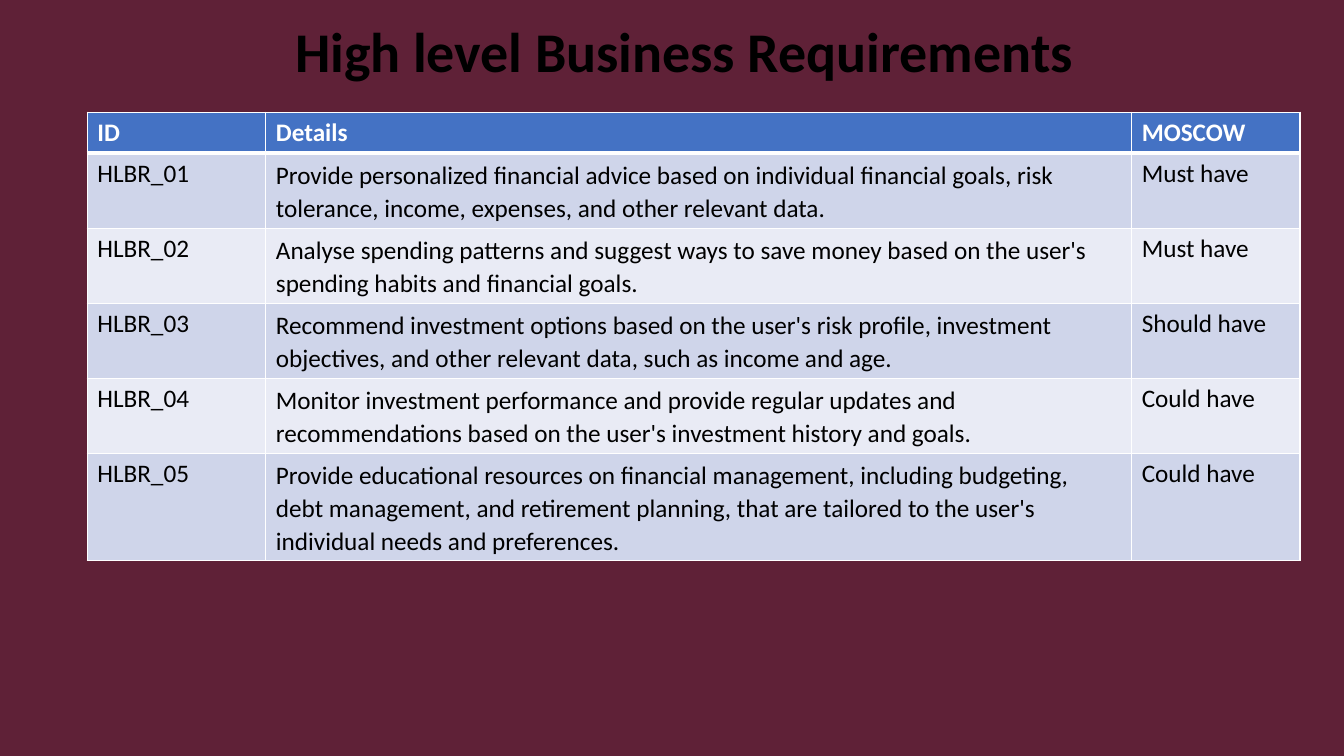
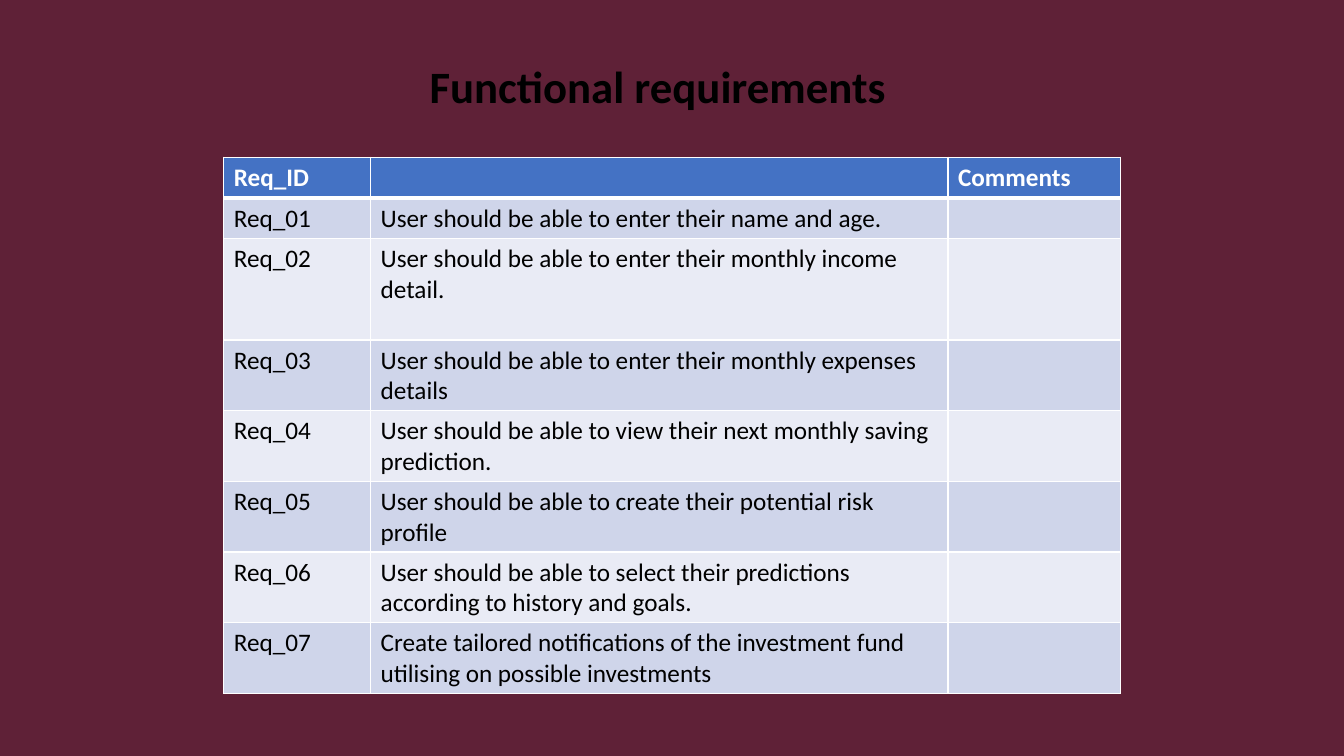
import pptx
import pptx.dml.color
import pptx.enum.text
import pptx.oxml.ns
import pptx.util
from lxml import etree

Cm = pptx.util.Cm
Pt = pptx.util.Pt

FONT = "Calibri"
BACKGROUND = "5F2137"
BLACK = "000000"
WHITE = "FFFFFF"
HEADER_FILL = "4472C4"
BAND_FILLS = ("CFD5EA", "E9EBF5")
HEADER_FORMAT = {"name": FONT, "size": Pt(18), "bold": True}
BODY_FORMAT = {"name": FONT, "size": Pt(18), "bold": False}
HEADER_HEIGHT = 1.03

BUSINESS_ROWS = [
    ("ID", "Details", "MOSCOW"),
    ("HLBR_01", "Provide personalized financial advice based on individual financial goals, "
     "risk tolerance, income, expenses, and other relevant data.", "Must have"),
    ("HLBR_02", "Analyse spending patterns and suggest ways to save money based on the user's "
     "spending habits and financial goals.", "Must have"),
    ("HLBR_03", "Recommend investment options based on the user's risk profile, investment "
     "objectives, and other relevant data, such as income and age.", "Should have"),
    ("HLBR_04", "Monitor investment performance and provide regular updates and "
     "recommendations based on the user's investment history and goals.", "Could have"),
    ("HLBR_05", "Provide educational resources on financial management, including budgeting, "
     "debt management, and retirement planning, that are tailored to the user's individual "
     "needs and preferences.", "Could have"),
]

FUNCTIONAL_DETAILS = [
    "User should be able to enter their name and age.",
    "User should be able to enter their monthly income detail.",
    "User should be able to enter their monthly expenses details",
    "User should be able to view their next monthly saving prediction.",
    "User should be able to create their potential risk profile",
    "User should be able to select their predictions according to history and goals.",
    "Create tailored notifications of the investment fund utilising on possible investments",
]
FUNCTIONAL_ROWS = [("Req_ID", "", "Comments")] + [
    (f"Req_{number:02}", detail, "")
    for number, detail in enumerate(FUNCTIONAL_DETAILS, start=1)
]


def color(hex_string):
    return pptx.dml.color.RGBColor.from_string(hex_string)


def format_font(font, values, text_color):
    for name, value in values.items():
        setattr(font, name, value)
    font.color.rgb = color(text_color)


def add_slide(presentation):
    slide = presentation.slides.add_slide(presentation.slide_layouts[6])
    fill = slide.background.fill
    fill.solid()
    fill.fore_color.rgb = color(BACKGROUND)
    return slide


def add_title(slide, text, left, top, height, size):
    text_box = slide.shapes.add_textbox(Cm(left), Cm(top), Cm(27.48), Cm(height))
    frame = text_box.text_frame
    frame.word_wrap = True
    frame.auto_size = pptx.enum.text.MSO_AUTO_SIZE.SHAPE_TO_FIT_TEXT
    paragraph = frame.paragraphs[0]
    paragraph.alignment = pptx.enum.text.PP_ALIGN.CENTER
    run = paragraph.add_run()
    run.text = text
    format_font(run.font, {"name": FONT, "size": Pt(size), "bold": True}, BLACK)


def add_cell_borders(cell, widths):
    """Draw white borders; widths maps each side (L, R, T, B) to points."""
    properties = cell._tc.get_or_add_tcPr()
    for side, width in widths.items():
        line = etree.SubElement(properties, pptx.oxml.ns.qn(f"a:ln{side}"), w=str(Pt(width)))
        fill = etree.SubElement(line, pptx.oxml.ns.qn("a:solidFill"))
        etree.SubElement(fill, pptx.oxml.ns.qn("a:srgbClr"), val=WHITE)


def fill_cell(cell, text, row_index, line_spacing):
    is_header = row_index == 0
    add_cell_borders(cell, {
        "L": 1,
        "R": 1,
        "T": 3 if row_index == 1 else 1,
        "B": 3 if is_header else 1,
    })
    cell.fill.solid()
    cell.fill.fore_color.rgb = color(
        HEADER_FILL if is_header else BAND_FILLS[(row_index - 1) % 2])
    paragraph = cell.text_frame.paragraphs[0]
    if line_spacing:
        paragraph.line_spacing = line_spacing
    if text:
        run = paragraph.add_run()
        run.text = text
        format_font(run.font, HEADER_FORMAT if is_header else BODY_FORMAT,
                    WHITE if is_header else BLACK)


def add_requirements_table(slide, rows, left, top, widths, heights, detail_spacing=None):
    frame = slide.shapes.add_table(
        len(rows), len(widths), Cm(left), Cm(top), Cm(sum(widths)), Cm(sum(heights)))
    table = frame.table
    for column, width in zip(table.columns, widths):
        column.width = Cm(width)
    for row_index, (row, height, texts) in enumerate(zip(table.rows, heights, rows)):
        row.height = Cm(height)
        for column_index, text in enumerate(texts):
            is_detail = row_index > 0 and column_index == 1
            fill_cell(row.cells[column_index], text, row_index,
                      detail_spacing if is_detail else None)


def main():
    presentation = pptx.Presentation()
    presentation.slide_width = Cm(33.87)
    presentation.slide_height = Cm(19.05)

    slide = add_slide(presentation)
    add_title(slide, "High level Business Requirements", 3.5, 0.3, 1.96, 40)
    add_requirements_table(
        slide, BUSINESS_ROWS, 2.2, 2.83, [4.5, 21.82, 4.24],
        [HEADER_HEIGHT] + [1.89] * 4 + [2.7], detail_spacing=1.07)

    slide = add_slide(presentation)
    add_title(slide, "Functional requirements", 2.84, 1.35, 1.63, 32)
    add_requirements_table(
        slide, FUNCTIONAL_ROWS, 5.64, 3.96, [3.7, 14.55, 4.34],
        [HEADER_HEIGHT, HEADER_HEIGHT, 2.55] + [1.78] * 5)

    presentation.save("out.pptx")


if __name__ == "__main__":
    main()
